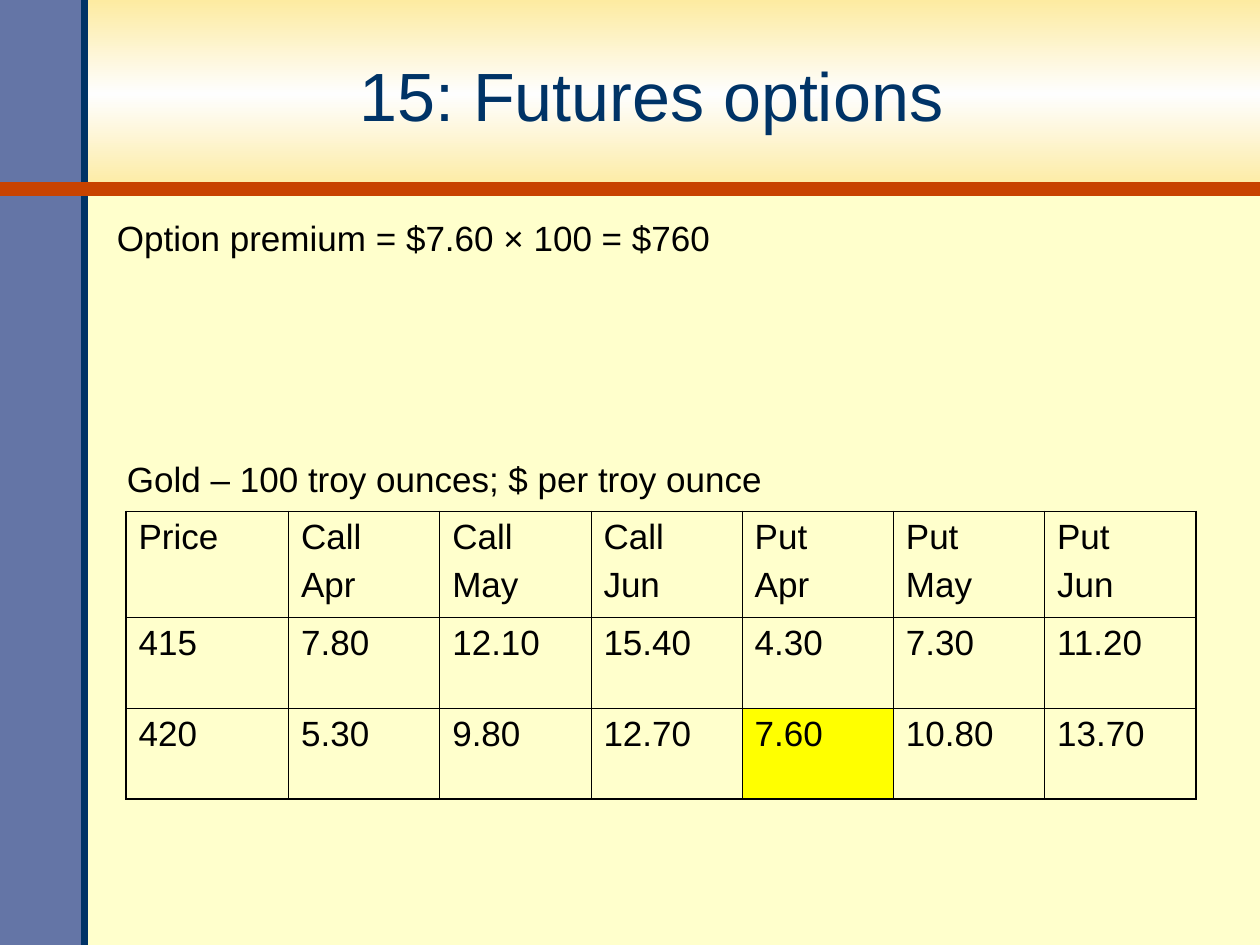
from copy import deepcopy
from dataclasses import dataclass

from lxml import etree
from pptx import Presentation
from pptx.dml.color import RGBColor
from pptx.enum.shapes import MSO_CONNECTOR, MSO_SHAPE
from pptx.enum.text import MSO_ANCHOR, MSO_AUTO_SIZE, PP_ALIGN
from pptx.oxml.ns import qn
from pptx.util import Inches, Pt

RECTANGLE = MSO_SHAPE.RECTANGLE
STRAIGHT = MSO_CONNECTOR.STRAIGHT
CENTER = PP_ALIGN.CENTER
MIDDLE = MSO_ANCHOR.MIDDLE
FIT_TEXT = MSO_AUTO_SIZE.SHAPE_TO_FIT_TEXT
TITLE_ONLY = 5


@dataclass(frozen=True)
class Theme:
    background: str = "FFFFCC"
    band_edge: str = "FDEBA1"
    band_middle: str = "FEFEFE"
    sidebar: str = "6475A6"
    navy: str = "003366"
    rule: str = "C84300"
    text: str = "000000"
    highlight: str = "FFFF00"
    font: str = "Arial"
    title_size: float = 39
    body_size: float = 20
    space_before: float = 5
    outer_border: float = 1.08
    inner_border: float = 0.45


THEME = Theme()
WIDTH, HEIGHT = 10, 7.5
BAND_HEIGHT = 1.5
SIDEBAR_WIDTH = 0.67

PRICES = [
    ["Price", "Call\nApr", "Call\nMay", "Call\nJun", "Put\nApr", "Put\nMay", "Put\nJun"],
    ["415", "7.80", "12.10", "15.40", "4.30", "7.30", "11.20"],
    ["420", "5.30", "9.80", "12.70", "7.60", "10.80", "13.70"],
]
COLUMN_WIDTHS = [1.29] + [1.2] * 6
ROW_HEIGHTS = [0.84, 0.72, 0.72]
PREMIUM_CELL = (2, 4)


def color(value):
    return RGBColor.from_string(value)


def inches(box):
    return [Inches(length) for length in box]


def format_text(text_frame, size, text_color, alignment=None):
    for index, paragraph in enumerate(text_frame.paragraphs):
        paragraph.alignment = alignment
        if index:
            paragraph.space_before = Pt(THEME.space_before)
        for run in paragraph.runs:
            run.font.name = THEME.font
            run.font.size = Pt(size)
            run.font.color.rgb = color(text_color)


def add_rectangle(slide, box):
    shape = slide.shapes.add_shape(RECTANGLE, *inches(box))
    shape.shadow.inherit = False
    shape.line.fill.background()
    return shape


def add_band(slide, box):
    """Add the rectangle that fades from its edges to a pale middle."""
    band = add_rectangle(slide, box)
    band.fill.gradient()
    band.fill.gradient_angle = 90
    stop_list = next(band.element.iter(qn("a:gsLst")))
    stop_list.append(deepcopy(stop_list[0]))
    stops = [(0, THEME.band_edge), (0.5, THEME.band_middle), (1, THEME.band_edge)]
    for stop, (position, stop_color) in zip(band.fill.gradient_stops, stops):
        stop.position = position
        stop.color.rgb = color(stop_color)


def add_rule(slide, start, end, line_color, width):
    rule = slide.shapes.add_connector(STRAIGHT, *inches(start + end))
    rule.line.color.rgb = color(line_color)
    rule.line.width = Pt(width)
    etree.SubElement(rule.element.spPr, qn("a:effectLst"))


def add_frame(slide, box):
    """Add the band, the sidebar and the rules that bound them."""
    left, top, width, height = box
    right, bottom = left + width, top + height
    add_band(slide, (left, top, width, BAND_HEIGHT))
    sidebar = add_rectangle(slide, (left, top, SIDEBAR_WIDTH, height))
    sidebar.fill.solid()
    sidebar.fill.fore_color.rgb = color(THEME.sidebar)
    edge, band_bottom = left + SIDEBAR_WIDTH, top + BAND_HEIGHT
    add_rule(slide, (edge, bottom), (edge, top), THEME.navy, 4)
    add_rule(slide, (left, band_bottom), (right, band_bottom), THEME.rule, 8)


def place_title(slide, box, text):
    title = slide.shapes.title
    title.left, title.top, title.width, title.height = inches(box)
    title.text_frame.text = text
    title.text_frame.vertical_anchor = MIDDLE
    format_text(title.text_frame, THEME.title_size, THEME.navy, CENTER)
    # The title stands in front of the band.
    title.element.getparent().append(title.element)


def add_text(slide, box, text):
    text_frame = slide.shapes.add_textbox(*inches(box)).text_frame
    text_frame.word_wrap = True
    text_frame.auto_size = FIT_TEXT
    text_frame.text = text
    format_text(text_frame, THEME.body_size, THEME.text)


def set_borders(cell, outer_sides):
    properties = cell._tc.get_or_add_tcPr()
    for side in "LRTB":
        width = THEME.outer_border if side in outer_sides else THEME.inner_border
        line = etree.SubElement(properties, qn(f"a:ln{side}"), w=str(Pt(width)))
        fill = etree.SubElement(line, qn("a:solidFill"))
        etree.SubElement(fill, qn("a:srgbClr"), val=THEME.text)


def add_price_table(slide, box):
    row_count, column_count = len(PRICES), len(COLUMN_WIDTHS)
    table = slide.shapes.add_table(row_count, column_count, *inches(box)).table
    table.first_row = table.horz_banding = False
    for column, width in zip(table.columns, COLUMN_WIDTHS):
        column.width = Inches(width)
    for row, height in zip(table.rows, ROW_HEIGHTS):
        row.height = Inches(height)
    for row_index, values in enumerate(PRICES):
        for column_index, value in enumerate(values):
            cell = table.cell(row_index, column_index)
            cell.text = value
            format_text(cell.text_frame, THEME.body_size, THEME.text)
            edges = {
                "L": column_index == 0,
                "R": column_index == column_count - 1,
                "T": row_index == 0,
                "B": row_index == row_count - 1,
            }
            set_borders(cell, [side for side in edges if edges[side]])
            if (row_index, column_index) == PREMIUM_CELL:
                cell.fill.solid()
                cell.fill.fore_color.rgb = color(THEME.highlight)
            else:
                cell.fill.background()


def build_futures_slide(presentation):
    slide = presentation.slides.add_slide(presentation.slide_layouts[TITLE_ONLY])
    slide.background.fill.solid()
    slide.background.fill.fore_color.rgb = color(THEME.background)
    add_frame(slide, (0, 0, WIDTH, HEIGHT))
    place_title(slide, (0.65, 0.15, 9.04, 1.2), "15: Futures options")
    add_price_table(slide, (1, 4.06, sum(COLUMN_WIDTHS), sum(ROW_HEIGHTS)))
    add_text(slide, (0.83, 1.67, 7.75, 0.44), "Option premium = $7.60 × 100 = $760")
    add_text(slide, (0.91, 3.58, 5.4, 0.44), "Gold – 100 troy ounces; $ per troy ounce")


def main():
    presentation = Presentation()
    presentation.slide_width = Inches(WIDTH)
    presentation.slide_height = Inches(HEIGHT)
    build_futures_slide(presentation)
    presentation.save("out.pptx")


if __name__ == "__main__":
    main()
